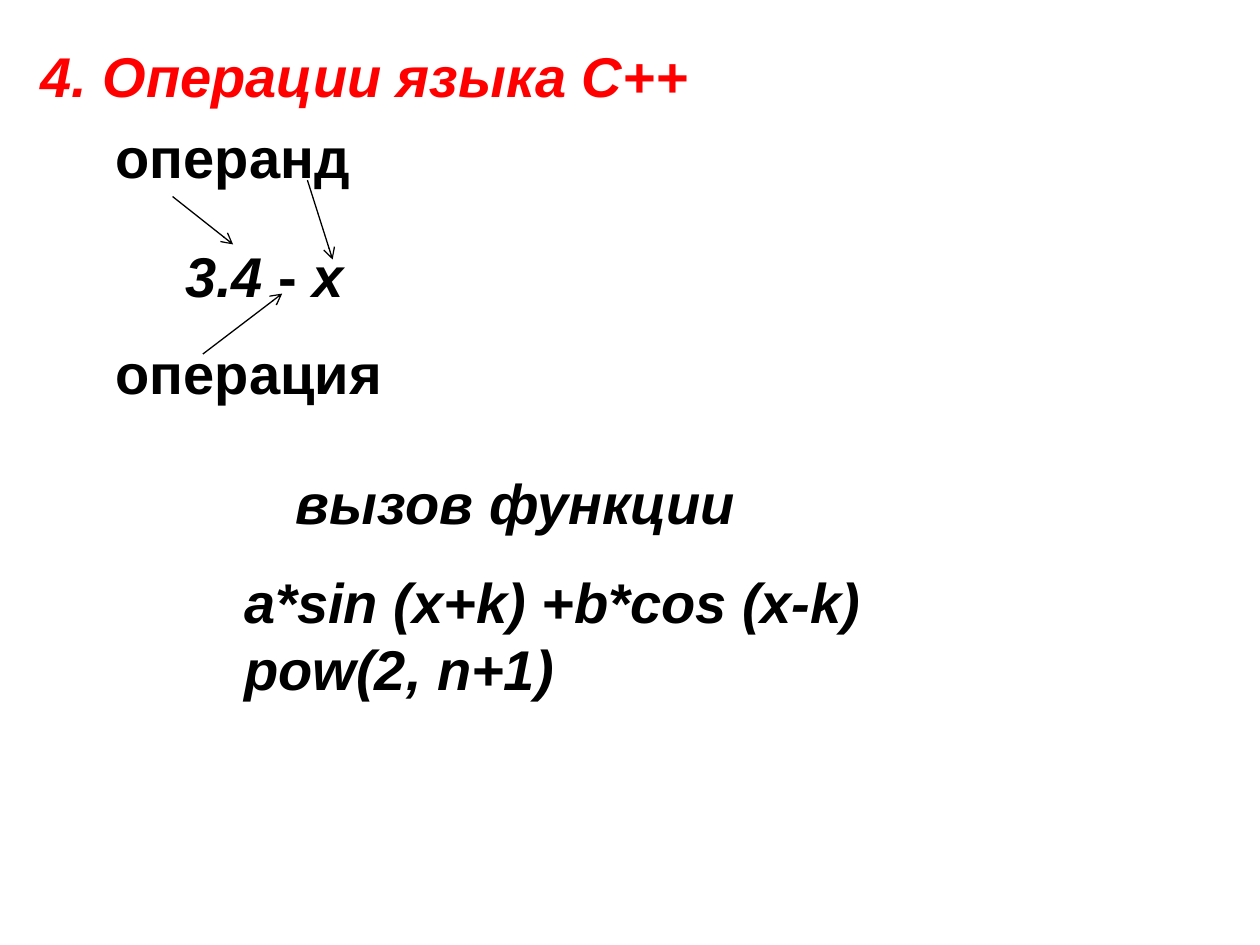
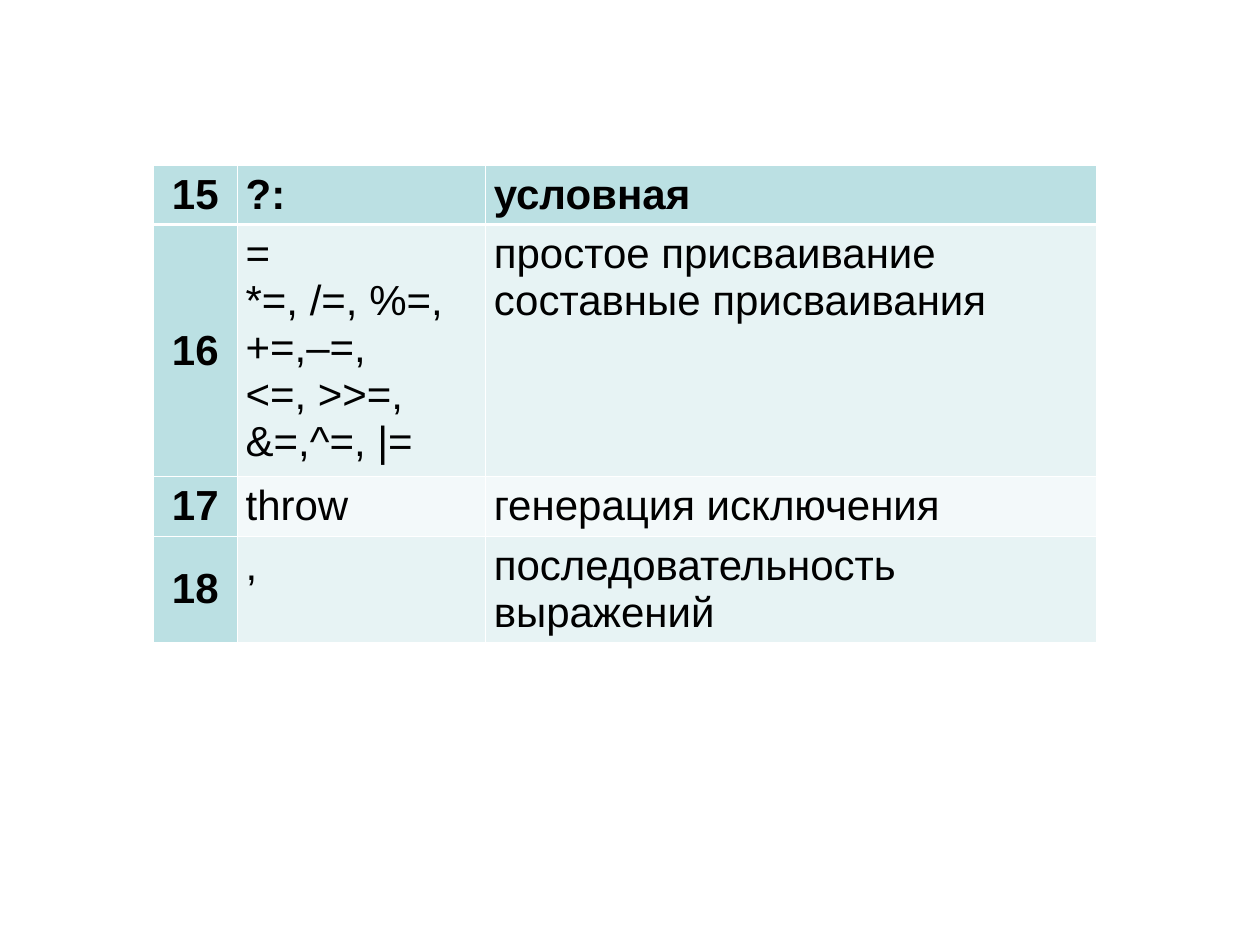
"""Build two slides on the operations of C++: expression parts and precedence."""
from dataclasses import dataclass
from typing import Any, NamedTuple

from lxml.etree import SubElement
from pptx import Presentation
from pptx.dml.color import RGBColor
from pptx.enum.shapes import MSO_CONNECTOR, MSO_SHAPE
from pptx.enum.text import MSO_ANCHOR, MSO_AUTO_SIZE, PP_ALIGN
from pptx.oxml.ns import qn
from pptx.util import Inches, Pt

BLACK, WHITE, RED = "000000", "FFFFFF", "FF0000"
HEADER_FILL, BAND_FILL, PLAIN_FILL = "BBE0E3", "E7F3F4", "F3F9FA"
EXPRESSION_FONT = {"name": "Arial", "size": Pt(32), "bold": True, "italic": True}
CELL_FONT = {"name": "Arial", "size": Pt(24), "italic": False}
FRAME_FORMAT = {
    "word_wrap": False,
    "auto_size": MSO_AUTO_SIZE.SHAPE_TO_FIT_TEXT,
    "margin_left": Inches(0.1),
    "margin_right": Inches(0.1),
    "margin_top": Inches(0.05),
    "margin_bottom": Inches(0.05),
}
CELL_MARGINS = {
    "margin_left": Inches(0.07),
    "margin_right": Inches(0.07),
    "margin_top": Inches(0.05),
    "margin_bottom": Inches(0.05),
}
THIN, THICK = Pt(0.45), Pt(1.47)
COLUMN_WIDTHS = (0.66, 1.97, 4.85)


class Piece(NamedTuple):
    text: str
    italic: bool = True


class Arrow(NamedTuple):
    start: tuple[float, float]
    end: tuple[float, float]


@dataclass(frozen=True)
class Label:
    lines: tuple[tuple[Piece, ...], ...]
    left: float
    top: float
    width: float
    height: float = 0.64
    anchor: MSO_ANCHOR = MSO_ANCHOR.TOP
    fill: str = ""
    color: str = BLACK


@dataclass(frozen=True)
class Precedence:
    rank: str
    operators: tuple[str, ...]
    meanings: tuple[str, ...]
    height: float
    fill: str
    bold: bool = False


TITLE = Label(((Piece("4. Операции языка С++"),),), 0.22, 0.28, 5.46,
              anchor=MSO_ANCHOR.MIDDLE, color=RED)
LABELS = (
    Label(((Piece("3.4 "), Piece("- ", False), Piece("х")),), 1.37, 1.86, 1.58,
          anchor=MSO_ANCHOR.MIDDLE),
    Label(((Piece("a*sin (x+k) +b*cos (x-k)"),), (Piece("pow(2, n+1)"),)),
          1.84, 4.45, 5.22, 1.17, MSO_ANCHOR.MIDDLE, WHITE),
    Label(((Piece("операнд", False),),), 0.82, 0.92, 2.08),
    Label(((Piece("операция", False),),), 0.82, 2.64, 2.34),
    Label(((Piece("вызов функции"),),), 2.25, 3.67, 3.85),
)
ARROWS = (
    Arrow((1.37, 1.56), (1.85, 1.94)),
    Arrow((2.44, 1.43), (2.64, 2.06)),
    Arrow((1.61, 2.81), (2.24, 2.33)),
)
PRECEDENCES = (
    Precedence("15", ("?:",), ("условная",), 0.4, HEADER_FILL, True),
    Precedence("16", ("=", "*=, /=, %=, +=,–=,", "<=, >>=,", "&=,^=, |="),
               ("простое присваивание", "составные присваивания"), 2, BAND_FILL),
    Precedence("17", ("throw",), ("генерация исключения",), 0.4, PLAIN_FILL),
    Precedence("18", (",",), ("последовательность выражений",), 0.8, BAND_FILL),
)


def rgb(value: str) -> RGBColor:
    """Turn a hex string into a colour."""
    return RGBColor.from_string(value)


def apply(target: Any, values: dict[str, Any]) -> None:
    """Set every named format value on the target."""
    for name, value in values.items():
        setattr(target, name, value)


def write_lines(frame, lines, font: dict[str, Any], color: str, align=PP_ALIGN.LEFT) -> None:
    """Write one paragraph per line and one run per piece."""
    for index, pieces in enumerate(lines):
        paragraph = frame.add_paragraph() if index else frame.paragraphs[0]
        paragraph.alignment = align
        for piece in pieces:
            run = paragraph.add_run()
            run.text = piece.text
            apply(run.font, font | {"italic": piece.italic})
            run.font.color.rgb = rgb(color)


def fill_label(shape, label: Label) -> None:
    """Format the frame of a shape and write its label."""
    apply(shape.text_frame, FRAME_FORMAT | {"vertical_anchor": label.anchor})
    write_lines(shape.text_frame, label.lines, EXPRESSION_FONT, label.color)


def box(label: Label) -> tuple[Inches, ...]:
    """Give the place and size of a label."""
    return tuple(Inches(n) for n in (label.left, label.top, label.width, label.height))


def add_label(slide, label: Label) -> None:
    """Draw a label as a text box, or as a rectangle when it is filled."""
    if label.fill:
        shape = slide.shapes.add_shape(MSO_SHAPE.RECTANGLE, *box(label))
        shape.shadow.inherit = False
        shape.fill.solid()
        shape.fill.fore_color.rgb = rgb(label.fill)
        shape.line.fill.background()
    else:
        shape = slide.shapes.add_textbox(*box(label))
    fill_label(shape, label)


def add_arrow(slide, arrow: Arrow) -> None:
    """Draw a thin line with an open head at its end."""
    ends = (Inches(n) for n in arrow.start + arrow.end)
    connector = slide.shapes.add_connector(MSO_CONNECTOR.STRAIGHT, *ends)
    connector.line.color.rgb = rgb(BLACK)
    connector.line.width = Pt(0.75)
    SubElement(connector.line._get_or_add_ln(), qn("a:tailEnd"), type="arrow")
    SubElement(connector._element.spPr, qn("a:effectLst"))


def add_borders(cell, top: int, bottom: int) -> None:
    """Give a cell white borders."""
    properties = cell._tc.get_or_add_tcPr()
    for side, width in (("L", THIN), ("R", THIN), ("T", top), ("B", bottom)):
        line = SubElement(properties, qn(f"a:ln{side}"), w=str(int(width)))
        SubElement(SubElement(line, qn("a:solidFill")), qn("a:srgbClr"), val=WHITE)


def fill_cell(cell, lines: tuple[str, ...], fill: str, bold: bool, is_rank: bool) -> None:
    """Fill a table cell and write its lines."""
    anchor = MSO_ANCHOR.MIDDLE if is_rank else MSO_ANCHOR.TOP
    apply(cell, CELL_MARGINS | {"vertical_anchor": anchor})
    cell.fill.solid()
    cell.fill.fore_color.rgb = rgb(fill)
    pieces = [(Piece(line, False),) for line in lines]
    align = PP_ALIGN.CENTER if is_rank else PP_ALIGN.LEFT
    write_lines(cell.text_frame, pieces, CELL_FONT | {"bold": bold}, BLACK, align)


def add_precedence_table(slide) -> None:
    """Draw the table of operations by precedence."""
    height = sum(row.height for row in PRECEDENCES)
    table = slide.shapes.add_table(
        len(PRECEDENCES), len(COLUMN_WIDTHS), Inches(1.22), Inches(1.31),
        Inches(sum(COLUMN_WIDTHS)), Inches(height)).table
    apply(table, {"first_row": False, "horz_banding": False})
    for column, width in zip(table.columns, COLUMN_WIDTHS):
        column.width = Inches(width)
    for index, entry in enumerate(PRECEDENCES):
        table.rows[index].height = Inches(entry.height)
        top = THICK if index == 1 else THIN
        bottom = THICK if index == 0 else THIN
        for column, lines in enumerate(((entry.rank,), entry.operators, entry.meanings)):
            cell, is_rank = table.cell(index, column), column == 0
            add_borders(cell, top, bottom)
            fill = HEADER_FILL if is_rank else entry.fill
            fill_cell(cell, lines, fill, is_rank or entry.bold, is_rank)


def main() -> None:
    """Build and save the presentation."""
    deck = Presentation()
    apply(deck, {"slide_width": Inches(10), "slide_height": Inches(7.5)})
    expressions = deck.slides.add_slide(deck.slide_layouts[5])
    title = expressions.shapes.title
    apply(title, dict(zip(("left", "top", "width", "height"), box(TITLE))))
    fill_label(title, TITLE)
    for label in LABELS:
        add_label(expressions, label)
    for arrow in ARROWS:
        add_arrow(expressions, arrow)
    add_precedence_table(deck.slides.add_slide(deck.slide_layouts[6]))
    deck.save("out.pptx")


if __name__ == "__main__":
    main()
